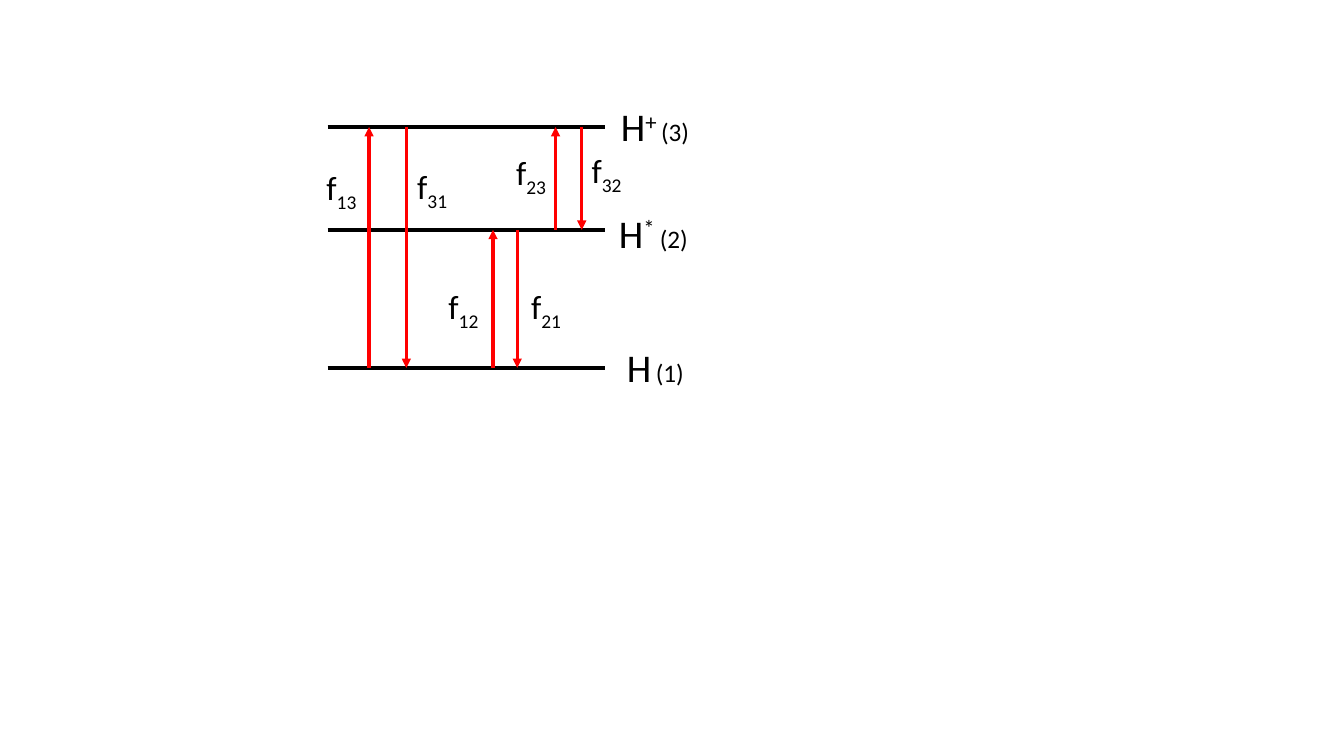
from dataclasses import dataclass
from typing import NamedTuple

from lxml import etree
from pptx import Presentation
from pptx import util as u
from pptx.dml.color import RGBColor
from pptx.enum import shapes, text
from pptx.oxml import ns


@dataclass(frozen=True)
class Theme:
    font: str = "Calibri"
    ink: RGBColor = RGBColor(0, 0, 0)
    arrow: RGBColor = RGBColor(255, 0, 0)
    level_width: float = 3.25
    arrow_width: float = 2.25
    state_size: int = 28
    rate_size: int = 24
    number_size: int = 18
    superscript: int = 30
    subscript: int = -25


class Box(NamedTuple):
    left: float
    top: float
    width: float
    height: float


THEME = Theme()
LEVEL_OFFSETS = {1: 2.39, 2: 1.02, 3: 0}

STATES = [
    (3, "+", " ", Box(2.81, -0.29, 0.91, 0.57)),
    (2, "* ", "", Box(2.79, -0.25, 0.95, 0.57)),
    (1, "", " ", Box(2.87, -0.29, 0.78, 0.57)),
]

TRANSITIONS = [
    (1, 3, 0.41, -0.11, 0.35),
    (3, 1, 0.78, 0.79, 0.34),
    (1, 2, 1.64, 1.10, 1.53),
    (2, 1, 1.88, 1.92, 1.53),
    (2, 3, 2.26, 1.77, 0.20),
    (3, 2, 2.52, 2.52, 0.18),
]


def add_line(page, start, end, color, width, arrow=False):
    line = page.shapes.add_connector(
        shapes.MSO_CONNECTOR.STRAIGHT, *map(u.Inches, (*start, *end))
    )
    line.line.color.rgb = color
    line.line.width = u.Pt(width)
    properties = line._element.spPr
    if arrow:
        outline = properties.find(ns.qn("a:ln"))
        etree.SubElement(outline, ns.qn("a:tailEnd"), type="triangle")
    etree.SubElement(properties, ns.qn("a:effectLst"))


def add_label(page, box, pieces):
    label = page.shapes.add_textbox(*map(u.Inches, box))
    frame = label.text_frame
    frame.word_wrap = False
    frame.auto_size = text.MSO_AUTO_SIZE.SHAPE_TO_FIT_TEXT
    para = frame.paragraphs[0]
    for wording, size, baseline in pieces:
        if not wording:
            continue
        span = para.add_run()
        span.text = wording
        span.font.name = THEME.font
        span.font.size = u.Pt(size)
        span.font.color.rgb = THEME.ink
        if baseline:
            span._r.get_or_add_rPr().set("baseline", str(baseline * 1000))


def draw_levels(page, box):
    for offset in LEVEL_OFFSETS.values():
        y = box.top + offset
        add_line(page, (box.left, y), (box.left + box.width, y),
                 THEME.ink, THEME.level_width)
    for level, charge, gap, place in STATES:
        label_box = Box(box.left + place.left,
                        box.top + LEVEL_OFFSETS[level] + place.top,
                        place.width, place.height)
        add_label(page, label_box, [
            ("H", THEME.state_size, 0),
            (charge, THEME.state_size, THEME.superscript),
            (gap, THEME.rate_size, THEME.superscript),
            (f"({level})", THEME.number_size, 0),
        ])


def draw_transitions(page, box):
    for lower, upper, x, label_x, label_y in TRANSITIONS:
        start, end = (
            (box.left + x, box.top + LEVEL_OFFSETS[level])
            for level in (lower, upper)
        )
        add_line(page, start, end, THEME.arrow, THEME.arrow_width, arrow=True)
        add_label(page, Box(box.left + label_x, box.top + label_y, 0.53, 0.5), [
            ("f", THEME.rate_size, 0),
            (f"{lower}{upper}", THEME.rate_size, THEME.subscript),
        ])


def main():
    deck = Presentation()
    deck.slide_width = u.Inches(13.33)
    deck.slide_height = u.Inches(7.5)
    page = deck.slides.add_slide(deck.slide_layouts[6])
    diagram = Box(3.25, 1.26, 2.75, 2.39)
    draw_levels(page, diagram)
    draw_transitions(page, diagram)
    deck.save("out.pptx")


if __name__ == "__main__":
    main()
